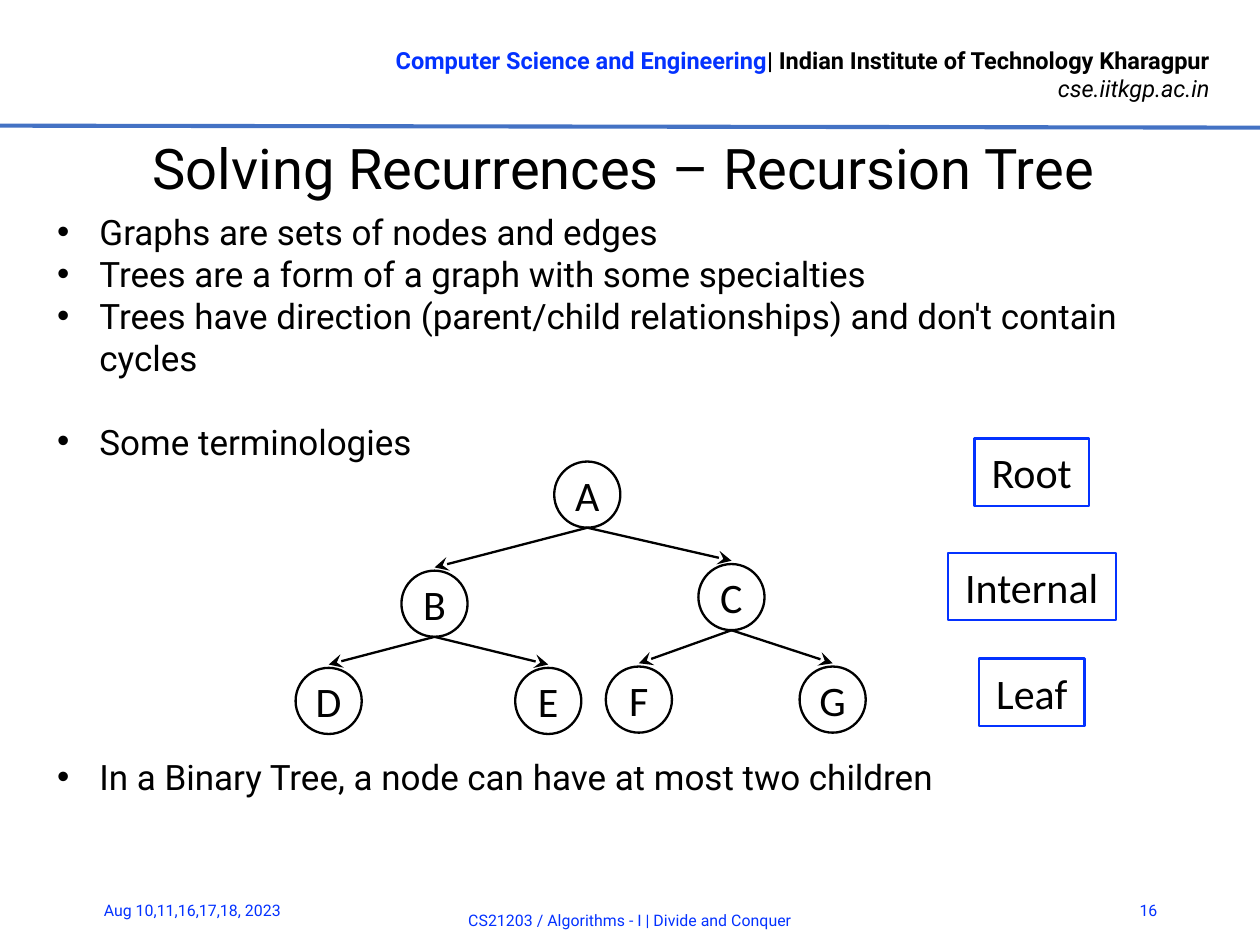
from lxml import etree
from pptx import Presentation
from pptx.dml.color import RGBColor
from pptx.enum import shapes, text
from pptx.oxml import ns
from pptx.util import Cm, Pt

BLACK = RGBColor(0x00, 0x00, 0x00)
BLUE = RGBColor(0x04, 0x32, 0xFF)
RULE_BLUE = RGBColor(0x44, 0x72, 0xC4)

LEFT, CENTER, RIGHT = text.PP_ALIGN.LEFT, text.PP_ALIGN.CENTER, text.PP_ALIGN.RIGHT

# Text and the space before it in points
BULLETS = [
    ("Graphs are sets of nodes and edges", 0),
    ("Trees are a form of a graph with some specialties", 0),
    ("Trees have direction (parent/child relationships) and don't contain cycles", 0),
    ("Some terminologies", 18),
    ("In a Binary Tree, a node can have at most two children", 126),
]

# Node centres in centimetres
NODES = {
    "A": (8.88, 7.48),
    "B": (6.57, 9.13), "C": (11.06, 9.03),
    "D": (4.97, 10.6), "E": (8.29, 10.6),
    "F": (9.66, 10.58), "G": (12.59, 10.58),
}
CHILDREN = {"A": "BC", "B": "DE", "C": "FG"}
NODE_SIZE = 1.0
ARROW_GAP = 0.05

# Name, top and width in centimetres
TERMS = [("Root", 6.63, 1.73), ("Internal", 8.36, 2.54), ("Leaf", 9.96, 1.6)]
TERM_CENTER = 15.6
TERM_HEIGHT = 1.02


def add_span(para, words, size, color=BLACK, font="Roboto", bold=False, italic=False):
    span = para.add_run()
    span.text = words
    span.font.name = font
    span.font.size = Pt(size)
    span.font.color.rgb = color
    span.font.bold = bold
    span.font.italic = italic


def place(box, left, top, width, height):
    box.left, box.top, box.width, box.height = Cm(left), Cm(top), Cm(width), Cm(height)


def set_insets(frame, inset):
    frame.margin_left = frame.margin_right = inset
    frame.margin_top = frame.margin_bottom = inset


def add_title(page, words):
    title = page.shapes.title
    place(title, 0.61, 2.01, 17.63, 1.04)
    frame = title.text_frame
    frame.auto_size = text.MSO_AUTO_SIZE.NONE
    frame.vertical_anchor = text.MSO_ANCHOR.MIDDLE
    set_insets(frame, 0)
    para = frame.paragraphs[0]
    para.alignment = CENTER
    add_span(para, words, 24)


def add_bullets(page):
    body = page.placeholders[1]
    place(body, 0.61, 3.05, 17.91, 9.4)
    frame = body.text_frame
    frame.auto_size = text.MSO_AUTO_SIZE.NONE
    for index, (words, gap) in enumerate(BULLETS):
        para = frame.add_paragraph() if index else frame.paragraphs[0]
        properties = para._p.get_or_add_pPr()
        properties.set("marL", str(Cm(0.64)))
        properties.set("indent", str(Cm(-0.64)))
        para.space_before = Pt(gap)
        para.line_spacing = 1.0
        add_span(para, words, 15)


def add_text_box(page, left, top, width, height, align):
    """Add a vertically centred text box and return its first paragraph."""
    box = page.shapes.add_textbox(Cm(left), Cm(top), Cm(width), Cm(height))
    frame = box.text_frame
    frame.word_wrap = True
    frame.vertical_anchor = text.MSO_ANCHOR.MIDDLE
    para = frame.paragraphs[0]
    para.alignment = align
    return para


def add_outlined_shape(page, kind, left, top, width, height, color, words):
    shape = page.shapes.add_shape(kind, Cm(left), Cm(top), Cm(width), Cm(height))
    shape.shadow.inherit = False
    shape.fill.background()
    shape.line.color.rgb = color
    shape.line.width = Pt(1)
    frame = shape.text_frame
    frame.word_wrap = False
    frame.vertical_anchor = text.MSO_ANCHOR.MIDDLE
    set_insets(frame, 0)
    para = frame.paragraphs[0]
    para.alignment = CENTER
    add_span(para, words, 18, font="Calibri")


def add_line(page, start, end, color, width, arrow=False):
    line = page.shapes.add_connector(
        shapes.MSO_CONNECTOR.STRAIGHT, *(Cm(value) for value in start + end))
    line.line.color.rgb = color
    line.line.width = Pt(width)
    if arrow:
        etree.SubElement(line.line._get_or_add_ln(), ns.qn("a:tailEnd"), type="stealth")
    etree.SubElement(line._element.spPr, ns.qn("a:effectLst"))


def add_header(page):
    para = add_text_box(page, 4.85, 0.56, 13.69, 1.12, RIGHT)
    add_span(para, "Computer Science and Engineering", 10.1, BLUE, bold=True)
    add_span(para, "| Indian Institute of Technology Kharagpur", 10.1, bold=True)
    para = para._parent.add_paragraph()
    para.alignment = RIGHT
    add_span(para, "cse.iitkgp.ac.in", 10.1, italic=True)
    add_line(page, (0, 1.9), (19.05, 1.93), RULE_BLUE, 1.75)


def add_tree(page):
    radius = NODE_SIZE / 2
    for name, (x, y) in NODES.items():
        add_outlined_shape(page, shapes.MSO_SHAPE.OVAL, x - radius, y - radius,
                           NODE_SIZE, NODE_SIZE, BLACK, name)
    for parent, children in CHILDREN.items():
        x, y = NODES[parent]
        for child in children:
            child_x, child_y = NODES[child]
            add_line(page, (x, y + radius), (child_x, child_y - radius - ARROW_GAP),
                     BLACK, 1, arrow=True)


def add_terms(page):
    for name, top, width in TERMS:
        add_outlined_shape(page, shapes.MSO_SHAPE.RECTANGLE, TERM_CENTER - width / 2, top,
                           width, TERM_HEIGHT, BLUE, name)


def add_footer(page):
    for words, left, top, width, align in [
        ("Aug 10,11,16,17,18, 2023", 1.32, 13.39, 3.33, LEFT),
        ("CS21203 / Algorithms - I | Divide and Conquer", 3.15, 13.54, 12.75, CENTER),
        ("16", 16.81, 13.39, 0.94, RIGHT),
    ]:
        add_span(add_text_box(page, left, top, width, 0.76, align), words, 6.8, BLUE)


def main():
    deck = Presentation()
    deck.slide_width, deck.slide_height = Cm(19.05), Cm(14.29)
    page = deck.slides.add_slide(deck.slide_layouts[1])
    add_header(page)
    add_title(page, "Solving Recurrences – Recursion Tree")
    add_bullets(page)
    add_tree(page)
    add_terms(page)
    add_footer(page)
    deck.save("out.pptx")


if __name__ == "__main__":
    main()
